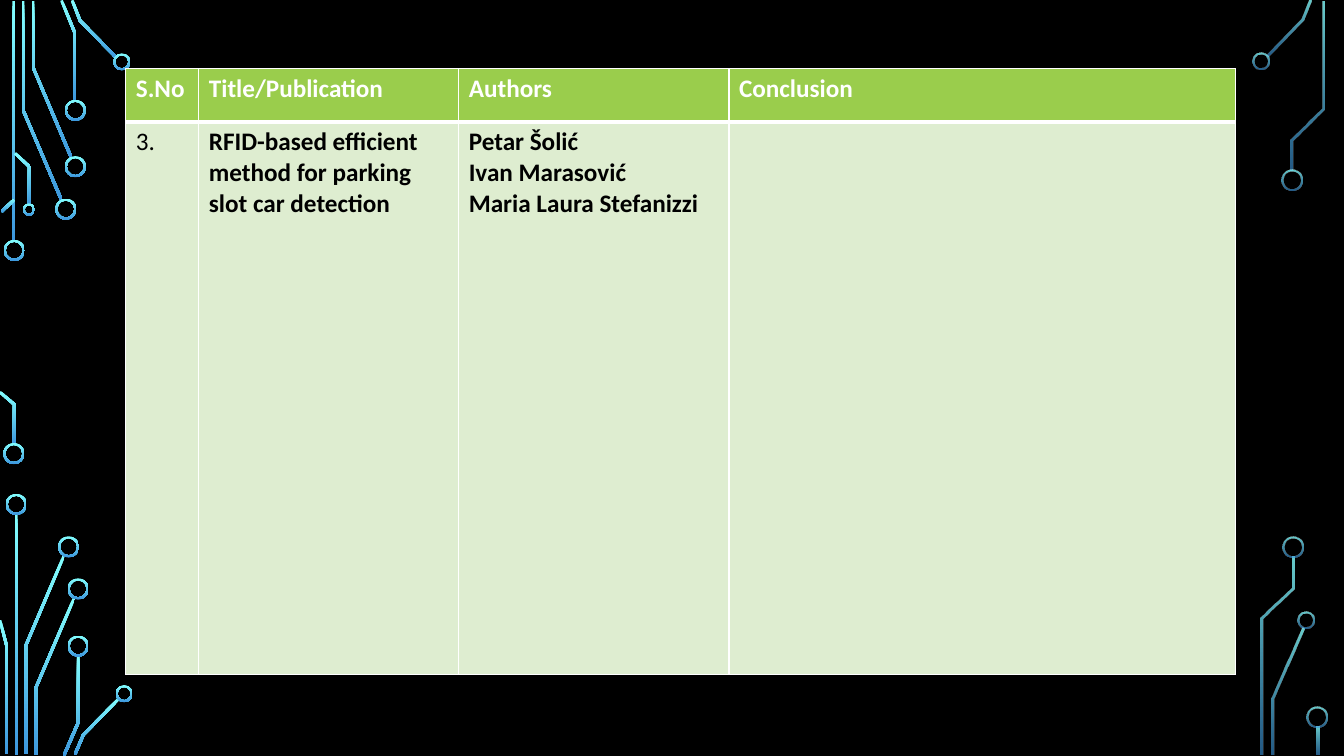
from dataclasses import dataclass
from math import hypot

from lxml.etree import SubElement
from pptx import Presentation
from pptx.dml.color import RGBColor
from pptx.enum.shapes import MSO_SHAPE
from pptx.oxml.ns import qn
from pptx.util import Cm, Pt

Point = tuple[float, float]


@dataclass(frozen=True)
class Theme:
    backdrop: str = "000000"
    glow_top: str = "82FFFF"
    glow_bottom: str = "3D97DE"
    header: str = "9ACD4C"
    body: str = "DEEDD0"
    light: str = "FFFFFF"
    dark: str = "000000"
    font: str = "Calibri"
    text_size: int = 18
    thin: int = 1
    thick: int = 3


@dataclass(frozen=True)
class Trace:
    points: list[Point]


@dataclass(frozen=True)
class Ring:
    x: float
    y: float
    diameter: float = 0.53


@dataclass(frozen=True)
class Circuit:
    traces: list[Trace]
    rings: list[Ring]
    opacity: tuple[int, int]


@dataclass(frozen=True)
class Entry:
    lines: list[str]
    bold: bool = True


THEME = Theme()
TRACE_WIDTH = 0.07
RING_WALL = 0.05
PAD = 0.43
COLUMN_WIDTHS = [1.84, 6.55, 6.81, 12.77]
ROW_HEIGHTS = [1.34, 13.92]

LEFT_CIRCUIT = Circuit(
    traces=[
        Trace([(0.35, 0.03), (0.35, 6.1)]),
        Trace([(1.55, 5.04), (0.58, 2.77), (0.58, 0.03)]),
        Trace([(1.8, 3.98), (0.83, 1.69), (0.83, 0.03)]),
        Trace([(1.89, 2.54), (1.89, 0.84), (1.55, 0.01)]),
        Trace([(2.93, 1.45), (2.02, 0.52), (1.82, 0.01)]),
        Trace([(0.04, 5.33), (0.36, 5.03)]),
        Trace([(0.36, 11.2), (0.36, 10.19), (0, 9.88)]),
        Trace([(0.74, 5.16), (0.74, 4.2), (0.38, 3.86)]),
        Trace([(0.41, 12.95), (0.41, 19.02)]),
        Trace([(0.65, 19), (0.65, 16.27), (1.61, 14.01)]),
        Trace([(0.17, 19), (0.17, 16.28), (0, 15.63)]),
        Trace([(0.9, 19.02), (0.9, 17.34), (1.87, 15.07)]),
        Trace([(1.97, 16.51), (1.97, 18.21), (1.61, 19.04)]),
        Trace([(1.89, 19.01), (2.1, 18.52), (3, 17.6)]),
    ],
    rings=[
        Ring(0.36, 6.31), Ring(0.35, 11.43), Ring(1.66, 5.27), Ring(1.9, 4.2),
        Ring(1.9, 2.78), Ring(3.07, 1.56, PAD), Ring(0.73, 5.28, 0.31),
        Ring(0.41, 12.71), Ring(1.73, 13.78), Ring(1.97, 14.84),
        Ring(1.97, 16.28), Ring(3.13, 17.48, PAD),
    ],
    opacity=(100, 100),
)
RIGHT_CIRCUIT = Circuit(
    traces=[
        Trace([(31.93, 1.41), (32.83, 0.5), (33.03, 0.01)]),
        Trace([(32.07, 19.02), (32.07, 17.61), (32.84, 15.84)]),
        Trace([(32.56, 4.29), (32.56, 3.52), (33.34, 2.73), (33.34, 0.03)]),
        Trace([(31.81, 19.02), (31.81, 15.58), (32.6, 14.82), (32.6, 14.02)]),
        Trace([(33.21, 18.31), (33.21, 19.02)]),
    ],
    rings=[
        Ring(31.79, 1.54, PAD), Ring(32.57, 4.54), Ring(32.92, 15.63, PAD),
        Ring(32.59, 13.78), Ring(33.18, 18.08),
    ],
    opacity=(80, 60),
)
HEADER = [Entry([title]) for title in ("S.No", "Title/Publication", "Authors", "Conclusion")]
PAPER = [
    Entry(["3."], bold=False),
    Entry(["RFID-based efficient method for parking slot car detection"]),
    Entry(["Petar Šolić", "Ivan Marasović", "Maria Laura Stefanizzi"]),
    Entry([]),
]


def rgb(code: str) -> RGBColor:
    return RGBColor.from_string(code)


def glow(shape, opacity: tuple[int, int]) -> None:
    shape.shadow.inherit = False
    shape.line.fill.background()
    shape.fill.gradient()
    shape.fill.gradient_angle = 270
    colours = (THEME.glow_top, THEME.glow_bottom)
    for stop, colour, percent in zip(shape.fill.gradient_stops, colours, opacity):
        stop.color.rgb = rgb(colour)
    for colour, percent in zip(shape.fill._xPr.iter(qn("a:srgbClr")), opacity):
        if percent < 100:
            SubElement(colour, qn("a:alpha")).set("val", str(percent * 1000))


def outline(points: list[Point]) -> list[Point]:
    normals = []
    for (x1, y1), (x2, y2) in zip(points, points[1:]):
        length = hypot(x2 - x1, y2 - y1)
        normals.append(((y1 - y2) / length, (x2 - x1) / length))
    near, far = [], []
    for (x, y), (ax, ay), (bx, by) in zip(points, normals[:1] + normals, normals + normals[-1:]):
        reach = TRACE_WIDTH / 2 / (1 + ax * bx + ay * by)
        dx, dy = (ax + bx) * reach, (ay + by) * reach
        near.append((x + dx, y + dy))
        far.append((x - dx, y - dy))
    return near + far[::-1]


def draw_trace(shapes, trace: Trace, opacity: tuple[int, int]) -> None:
    (x, top), (end_x, bottom) = trace.points[0], trace.points[-1]
    if len(trace.points) == 2 and x == end_x:
        shape = shapes.add_shape(MSO_SHAPE.RECTANGLE, Cm(x - TRACE_WIDTH / 2), Cm(top),
                                 Cm(TRACE_WIDTH), Cm(bottom - top))
    else:
        corners = [(Cm(px), Cm(py)) for px, py in outline(trace.points)]
        builder = shapes.build_freeform(*corners[0])
        builder.add_line_segments(corners[1:], close=True)
        shape = builder.convert_to_shape()
    glow(shape, opacity)


def draw_ring(shapes, ring: Ring, opacity: tuple[int, int]) -> None:
    radius = ring.diameter / 2
    shape = shapes.add_shape(MSO_SHAPE.DONUT, Cm(ring.x - radius), Cm(ring.y - radius),
                             Cm(ring.diameter), Cm(ring.diameter))
    shape.adjustments[0] = RING_WALL / ring.diameter
    glow(shape, opacity)


def draw_circuit(shapes, circuit: Circuit) -> None:
    for trace in circuit.traces:
        draw_trace(shapes, trace, circuit.opacity)
    for ring in circuit.rings:
        draw_ring(shapes, ring, circuit.opacity)


def set_borders(cell, top: int, bottom: int) -> None:
    properties = cell._tc.get_or_add_tcPr()
    sides = {"a:lnL": THEME.thin, "a:lnR": THEME.thin, "a:lnT": top, "a:lnB": bottom}
    for position, (side, width) in enumerate(sides.items()):
        border = SubElement(properties, qn(side), w=str(Pt(width)))
        SubElement(SubElement(border, qn("a:solidFill")), qn("a:srgbClr"), val=THEME.light)
        properties.insert(position, border)


def fill_cell(cell, entry: Entry, background: str, ink: str) -> None:
    cell.fill.solid()
    cell.fill.fore_color.rgb = rgb(background)
    for index, line in enumerate(entry.lines):
        frame = cell.text_frame
        paragraph = frame.add_paragraph() if index else frame.paragraphs[0]
        run = paragraph.add_run()
        run.text = line
        run.font.name = THEME.font
        run.font.size = Pt(THEME.text_size)
        run.font.bold = entry.bold
        run.font.color.rgb = rgb(ink)


def draw_literature(shapes) -> None:
    table = shapes.add_table(len(ROW_HEIGHTS), len(COLUMN_WIDTHS), Cm(3.17), Cm(1.73),
                             Cm(sum(COLUMN_WIDTHS)), Cm(sum(ROW_HEIGHTS))).table
    for column, width in zip(table.columns, COLUMN_WIDTHS):
        column.width = Cm(width)
    for row, height in zip(table.rows, ROW_HEIGHTS):
        row.height = Cm(height)
    for index, (heading, detail) in enumerate(zip(HEADER, PAPER)):
        fill_cell(table.cell(0, index), heading, THEME.header, THEME.light)
        set_borders(table.cell(0, index), THEME.thin, THEME.thick)
        fill_cell(table.cell(1, index), detail, THEME.body, THEME.dark)
        set_borders(table.cell(1, index), THEME.thick, THEME.thin)


def main() -> None:
    deck = Presentation()
    deck.slide_width, deck.slide_height = Cm(33.87), Cm(19.05)
    slide = deck.slides.add_slide(deck.slide_layouts[6])
    slide.background.fill.solid()
    slide.background.fill.fore_color.rgb = rgb(THEME.backdrop)
    for circuit in (LEFT_CIRCUIT, RIGHT_CIRCUIT):
        draw_circuit(slide.shapes, circuit)
    draw_literature(slide.shapes)
    deck.save("out.pptx")


if __name__ == "__main__":
    main()
